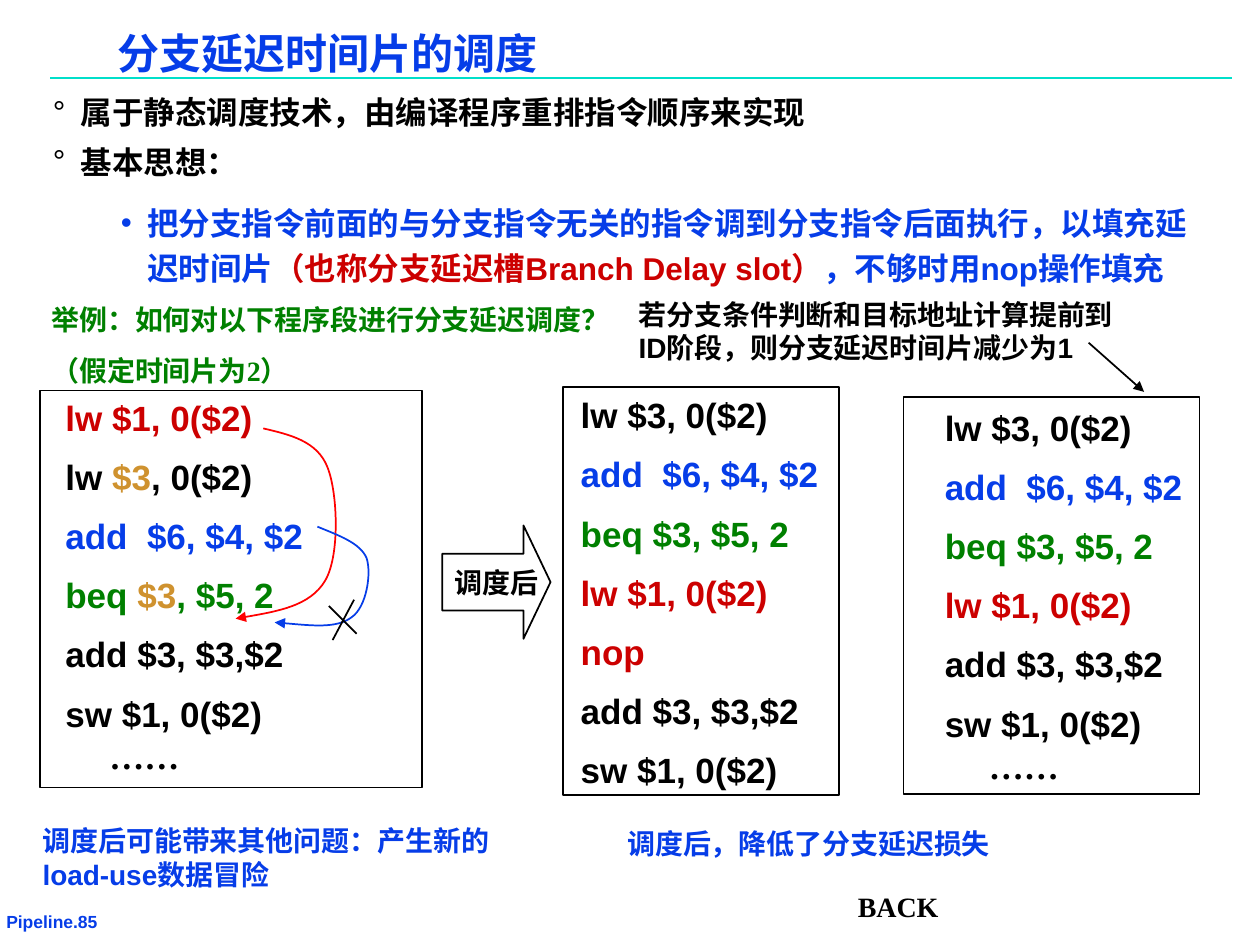
from itertools import chain

from lxml.etree import SubElement
from pptx import Presentation
from pptx.dml.color import RGBColor
from pptx.enum.shapes import MSO_CONNECTOR, MSO_SHAPE
from pptx.enum.text import MSO_ANCHOR, PP_ALIGN
from pptx.oxml.ns import qn
from pptx.util import Inches, Pt

THEME = {
    "black": "000000", "blue": "063DE8", "red": "CC0000", "green": "008000",
    "gold": "CF922F", "teal": "00DFCA", "bright red": "FF0000",
    "sans": "Arial", "serif": "Times New Roman",
    "title": 24, "code": 20, "body": 18, "note": 16, "footer": 10, "line": 1,
}

# Content: each paragraph is a list of (text, colour[, font]) spans
TITLE = [[("分支延迟时间片的调度", "blue")]]
POINTS = [
    [("属于静态调度技术，由编译程序重排指令顺序来实现", "black")],
    [("基本思想：", "black")],
    [("把分支指令前面的与分支指令无关的指令调到分支指令后面执行，以填充延迟时间片", "blue"),
     ("（也称分支延迟槽Branch Delay slot）", "red"),
     ("，不够时用nop操作填充", "blue")],
]
BULLETS = [("°", "black", 0.22, -0.22)] * 2 + [("•", "blue", 0.75, -0.21)]

# place, font, size, paragraphs, space before later paragraphs
NOTES = [
    ((-0.02, 7.2, 1.38, 0.22), "sans", "footer", [[("Pipeline.85", "blue")]]),
    ((0.31, 2.35, 4.74, 0.77), "serif", "note",
     [[("举例：如何对以下程序段进行分支延迟调度？", "green")],
      [("（假定时间片为2）", "green")]]),
    ((4.88, 6.51, 4.14, 0.37), "serif", "note", [[("调度后，降低了分支延迟损失", "blue")]]),
    ((0.24, 6.49, 4.14, 0.64), "serif", "note",
     [[("调度后可能带来其他问题：产生新的", "blue"),
       ("load-use数据", "blue", "sans"), ("冒险", "blue")]]),
    ((6.71, 7.01, 0.97, 0.37), "serif", "note", [[("BACK", "black")]]),
    ((4.97, 2.31, 4.11, 0.64), "sans", "note",
     [[("若分支条件判断和目标地址计算提前到ID阶段，则分支延迟时间片减少为1", "black")]]),
    ((3.51, 4.44, 0.96, 0.37), "serif", "note", [[("调度后", "black")]]),
]

LOAD_1 = [("lw $1, 0($2)", "red")]
ADD_6 = [("add  $6, $4, $2", "blue")]
REORDERED = [[("lw $3, 0($2)", "black")], ADD_6, [("beq $3, $5, 2", "green")], LOAD_1]
AFTER_BRANCH = [[("add $3, $3,$2", "black")], [("sw $1, 0($2)", "black")]]
ELLIPSIS = [("……", "black", "serif")]
ORIGINAL_ORDER = [
    LOAD_1,
    [("lw ", "black"), ("$3", "gold"), (", 0($2)", "black")],
    ADD_6,
    [("beq ", "green"), ("$3", "gold"), (", $5, 2", "green")],
]
# text place, frame place, instructions
LISTINGS = [
    ((7.4, 3.11, 2.6, 3.69), (7.17, 3.15, 2.35, 3.15), REORDERED + AFTER_BRANCH + [ELLIPSIS]),
    ((0.42, 3.03, 2.18, 3.69), (0.32, 3.1, 3.03, 3.15),
     ORIGINAL_ORDER + AFTER_BRANCH + [ELLIPSIS]),
    ((4.51, 3.01, 2.32, 3.32), (4.47, 3.07, 2.19, 3.24),
     REORDERED + [[("nop", "red")]] + AFTER_BRANCH),
]

# Moves past the branch: start point, then control, control, end per curve
MOVES = [
    ("bright red", [(2.09, 3.4),
                    (2.3, 3.45), (2.52, 3.5), (2.6, 3.71),
                    (2.68, 3.91), (2.7, 4.41), (2.58, 4.61),
                    (2.46, 4.81), (2.16, 4.86), (1.87, 4.91)]),
    ("blue", [(2.52, 4.18),
              (2.69, 4.25), (2.86, 4.31), (2.91, 4.43),
              (2.95, 4.55), (2.91, 4.82), (2.79, 4.9),
              (2.67, 4.99), (2.43, 4.96), (2.18, 4.94)]),
]
# start, end, colour, arrowhead
LINES = [
    ((0.4, 0.62), (9.78, 0.62), "teal", False),
    ((2.81, 4.76), (2.64, 5.08), "black", False),
    ((2.61, 4.81), (2.83, 5.03), "black", False),
    ((8.64, 2.72), (9.08, 3.11), "black", True),
]


def color(name):
    return RGBColor.from_string(THEME[name])


def inches(values):
    return [Inches(value) for value in values]


def write(box, paragraphs, font, size, insets=(0.1, 0.05), before=0, spacing=None):
    frame = box.text_frame
    frame.word_wrap = True
    frame.vertical_anchor = MSO_ANCHOR.TOP
    frame.margin_left = frame.margin_right = Inches(insets[0])
    frame.margin_top = frame.margin_bottom = Inches(insets[1])
    for index, spans in enumerate(paragraphs):
        para = frame.add_paragraph() if index else frame.paragraphs[0]
        para.alignment = PP_ALIGN.LEFT
        para.space_before = Pt(before if index else 0)
        if spacing:
            para.line_spacing = spacing
        for text, tint, *own_font in spans:
            span = para.add_run()
            span.text = text
            span.font.name = THEME[own_font[0] if own_font else font]
            span.font.size = Pt(THEME[size])
            span.font.bold = True
            span.font.color.rgb = color(tint)
    return frame


def indent(para, left, first=0):
    properties = para._p.get_or_add_pPr()
    properties.set("marL", str(Inches(left)))
    properties.set("indent", str(Inches(first)))
    return properties


def add_bullet(para, mark, tint, left, first):
    properties = indent(para, left, first)
    SubElement(SubElement(properties, qn("a:buClr")), qn("a:srgbClr")).set("val", THEME[tint])
    SubElement(properties, qn("a:buFont")).set("typeface", THEME["sans"])
    SubElement(properties, qn("a:buChar")).set("char", mark)


def stroke(shape, tint, arrow=False):
    shape.line.color.rgb = color(tint)
    shape.line.width = Pt(THEME["line"])
    if arrow:
        SubElement(shape.line._get_or_add_ln(), qn("a:tailEnd")).set("type", "triangle")


def add_outline(page, kind, place):
    shape = page.shapes.add_shape(kind, *inches(place))
    shape.shadow.inherit = False
    shape.fill.background()
    stroke(shape, "black")
    return shape


def add_curve(page, tint, points):
    start, *rest = [inches(point) for point in points]
    builder = page.shapes.build_freeform(*start)
    builder.add_line_segments(rest, close=False)
    shape = builder.convert_to_shape()
    shape.shadow.inherit = False
    shape.fill.background()
    stroke(shape, tint, arrow=True)
    # Every three straight segments become one cubic curve
    segments = list(shape._element.iter(qn("a:lnTo")))
    outline = segments[0].getparent()
    for first in range(0, len(segments), 3):
        curve = SubElement(outline, qn("a:cubicBezTo"))
        for segment in segments[first:first + 3]:
            curve.append(segment[0])
            outline.remove(segment)


def main():
    deck = Presentation()
    deck.slide_width, deck.slide_height = Inches(10), Inches(7.5)
    page = deck.slides.add_slide(deck.slide_layouts[5])

    # Title and main points
    title = page.shapes.title
    title.left, title.top, title.width, title.height = inches((0.86, 0.24, 7.51, 0.4))
    write(title, TITLE, "sans", "title", (0.07, 0.03), spacing=0.87)
    body = page.shapes.add_textbox(*inches((0.35, 0.71, 9.22, 1.59)))
    frame = write(body, POINTS, "sans", "body", (0.07, 0.03), before=6.8)
    for para, bullet in zip(frame.paragraphs, BULLETS):
        add_bullet(para, *bullet)
    frame.paragraphs[-1].line_spacing = 1.2
    frame.paragraphs[-1].space_before = Pt(9)

    # Instruction listings in their frames
    for text_place, frame_place, instructions in LISTINGS:
        box = page.shapes.add_textbox(*inches(text_place))
        frame = write(box, instructions, "sans", "code", before=5, spacing=1.2)
        if instructions[-1] is ELLIPSIS:
            last = frame.paragraphs[-1]
            last.line_spacing, last.space_before = 1.0, Pt(0)
            indent(last, 0.35)
        add_outline(page, MSO_SHAPE.RECTANGLE, frame_place)

    # Block arrow between the listings
    arrow = add_outline(page, MSO_SHAPE.RIGHT_ARROW, (3.51, 4.17, 0.86, 0.9))
    arrow.adjustments[0], arrow.adjustments[1] = 0.5, 0.25

    # Notes, captions and footer
    for place, font, size, paragraphs in NOTES:
        insets = (0.07, 0.03) if size == "footer" else (0.1, 0.05)
        box = page.shapes.add_textbox(*inches(place))
        write(box, paragraphs, font, size, insets, before=10)

    # Curved moves, cross and straight lines
    for tint, points in MOVES:
        add_curve(page, tint, points)
    for start, end, tint, has_head in LINES:
        line = page.shapes.add_connector(MSO_CONNECTOR.STRAIGHT, *inches(chain(start, end)))
        stroke(line, tint, has_head)
        SubElement(line._element.spPr, qn("a:effectLst"))

    deck.save("out.pptx")


if __name__ == "__main__":
    main()
